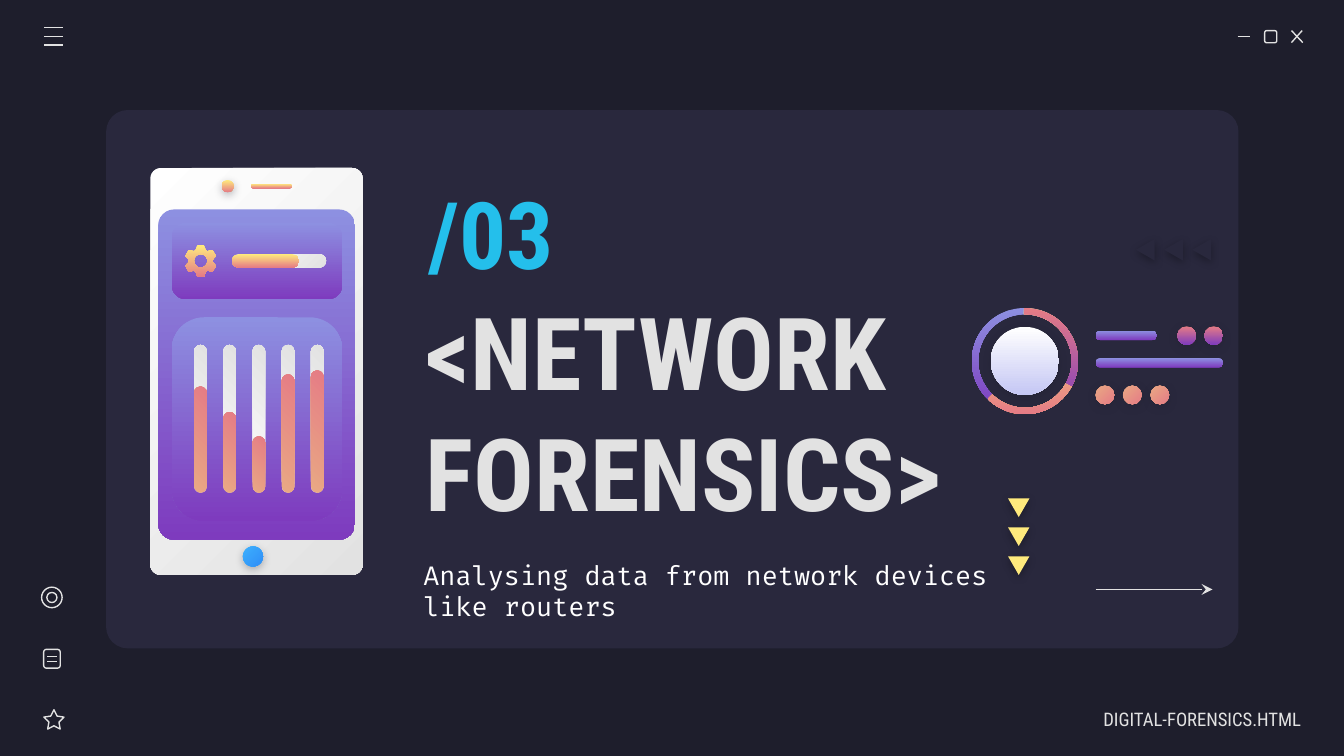
from math import cos, sin, radians
from lxml.etree import SubElement as Sub
from pptx import Presentation
from pptx.dml.color import RGBColor
from pptx.enum.shapes import MSO_SHAPE as Kind, MSO_CONNECTOR as Link
from pptx.enum.text import MSO_ANCHOR as Anchor, PP_ALIGN as Align
from pptx.oxml.ns import qn
from pptx.util import Pt

PALE, CARD, NIGHT = "E2E2E2", "29283D", "1E1E2C"
HEAD, CODE = "Roboto Condensed", "Fira Code"
# Gradients: start, end, clockwise angle
SILVER = ("FFFFFF", PALE, 45)
VIOLET = ("8D90E1", "7E3BBE", 90)
GOLD = ("FFEA7D", "E57C85", 90)
PEACH = ("E9A984", "E57C85", 45)
BERRY = ("E57C85", "7E3BBE", 90)
AZURE = ("3DB0FD", "308EF7", 45)
PEARL = ("FFFFFF", "C5C7F4", 90)


def color(hexa):
    return RGBColor.from_string(hexa)


def paint(fill, tone):
    if tone is None:
        fill.background()
    elif isinstance(tone, str):
        fill.solid()
        fill.fore_color.rgb = color(tone)
    else:
        fill.gradient()
        fill.gradient_angle = -tone[2] % 360
        for stop, hexa in zip(fill.gradient_stops, tone):
            stop.color.rgb = color(hexa)


def shade(item, hexa):
    effects = item.element.spPr.find(qn("a:effectLst"))
    drop = Sub(effects, qn("a:outerShdw"), blurRad=str(Pt(4.5)), dist=str(Pt(1.5)),
               dir="5400000", algn="bl", rotWithShape="0")
    tint = Sub(drop, qn("a:srgbClr"), val=hexa)
    Sub(tint, qn("a:alpha"), val="31000")


def dress(item, tone, glow=None):
    item.shadow.inherit = False
    paint(item.fill, tone)
    item.line.fill.background()
    if glow:
        shade(item, glow)


def draw(kit, kind, box, tone, adj=(), turn=0, glow=None):
    item = kit.add_shape(kind, *map(Pt, box))
    dress(item, tone, glow)
    item.rotation = turn
    for i, value in enumerate(adj):
        item.adjustments[i] = value
    return item


def sketch(kit, kind, box, adj=()):
    item = draw(kit, kind, box, None, adj)
    item.line.color.rgb = color(PALE)
    item.line.width = Pt(0.75)


def pill(kit, box, tone):
    draw(kit, Kind.ROUNDED_RECTANGLE, box, tone, [0.5])


def rule(kit, x1, y1, x2, y2):
    line = kit.add_connector(Link.STRAIGHT, *map(Pt, (x1, y1, x2, y2)))
    line.line.color.rgb = color(PALE)
    line.line.width = Pt(0.75)
    Sub(line.element.spPr, qn("a:effectLst"))
    return line


def write(item, box, text, font, size, hexa, align=Align.LEFT, bold=False,
          anchor=Anchor.MIDDLE, right=7.2, edge=7.2, indent=0):
    item.left, item.top, item.width, item.height = map(Pt, box)
    frame = item.text_frame
    frame.word_wrap = True
    frame.vertical_anchor = anchor
    frame.margin_left, frame.margin_right = Pt(7.2), Pt(right)
    frame.margin_top = frame.margin_bottom = Pt(edge)
    frame.text = text
    para = frame.paragraphs[0]
    props = para._p.get_or_add_pPr()
    props.set("marL", str(Pt(indent)))
    props.set("indent", "0")
    para.alignment = align
    para.space_before = Pt(0)
    para.font.name, para.font.size, para.font.bold = font, Pt(size), bold
    para.font.color.rgb = color(hexa)


def window(kit, x, y):
    # Minimise, maximise, close
    rule(kit, x, y + 3.2, x + 6.6, y + 3.2)
    sketch(kit, Kind.ROUNDED_RECTANGLE, (x + 14.4, y, 6.5, 6.5))
    rule(kit, x + 28.8, y, x + 34.8, y + 6.4)
    rule(kit, x + 34.5, y, x + 28.8, y + 6.4)


def menu(kit, x, y):
    for i in range(3):
        rule(kit, x, y + i * 4.8, x + 10.4, y + i * 4.8)


def icons(kit, x, y):
    # Target
    sketch(kit, Kind.OVAL, (x, y, 11, 11))
    sketch(kit, Kind.OVAL, (x + 2.8, y + 2.8, 5.4, 5.4))
    # Note
    sketch(kit, Kind.ROUNDED_RECTANGLE, (x + 1.1, y + 33.3, 8.9, 10.1))
    for drop in (37, 39.7):
        rule(kit, x + 3, y + drop, x + 8, y + drop)
    # Star
    sketch(kit, Kind.STAR_5_POINT, (x + 1.2, y + 65.6, 10.8, 10.4), [0.25])


def gear(kit, x, y):
    def ring(points):
        return [(Pt(x + r * sin(radians(a))), Pt(y - r * cos(radians(a)))) for r, a in points]

    teeth = ring((r, 60 * i + a) for i in range(6)
                 for r, a in ((6.3, -26), (8.6, -12), (8.6, 12), (6.3, 26)))
    hole = ring((3.6, -a) for a in range(0, 360, 15))
    path = kit.build_freeform(*teeth[0])
    path.add_line_segments(teeth[1:], close=True)
    path.move_to(*hole[0])
    path.add_line_segments(hole[1:], close=True)
    dress(path.convert_to_shape(), GOLD)


def phone(kit, x, y):
    # Body, screen and the two panels
    for box, tone, adj in (((0, 0, 113.8, 218), SILVER, 0.05),
                           ((4.3, 22.2, 105.3, 176.9), VIOLET, 0.08),
                           ((11.5, 29.3, 91.4, 41), VIOLET, 0.19),
                           ((11.5, 80, 91.4, 109.2), VIOLET, 0.19)):
        draw(kit, Kind.ROUNDED_RECTANGLE, (x + box[0], y + box[1], *box[2:]), tone, [adj])
    # Setting with progress
    gear(kit, x + 27, y + 49.8)
    pill(kit, (x + 43.8, y + 46.2, 50.4, 7.2), SILVER)
    pill(kit, (x + 43.8, y + 46.2, 36, 7.2), GOLD)
    # Level bars, lying shapes turned upright on a shared base
    for i, level in enumerate((56.9, 43.2, 30.2, 63.4, 65.5)):
        mid = x + 26.9 + i * 15.65
        for high, tone in ((79.2, SILVER), (level, PEACH)):
            box = (mid - high / 2, y + 174 - high / 2 - 3.4, high, 6.8)
            draw(kit, Kind.ROUNDED_RECTANGLE, box, tone, [0.5], 270)
    # Camera, speaker, home button
    draw(kit, Kind.OVAL, (x + 38.2, y + 6.5, 6.5, 6.5), GOLD, glow=NIGHT)
    pill(kit, (x + 54, y + 8.5, 21.8, 2.4), GOLD)
    draw(kit, Kind.OVAL, (x + 49.6, y + 202.7, 10.8, 10.8), AZURE, glow=NIGHT)


def widgets(kit, x, y):
    # Triangles pointing down and left
    for i in range(3):
        draw(kit, Kind.ISOSCELES_TRIANGLE, (x + 19.4, y + 138.6 + i * 15.5, 11.5, 10),
             "FFEA7D", turn=180, glow="000000")
        draw(kit, Kind.ISOSCELES_TRIANGLE, (x + 87.2 + i * 15.1, y + 0.4, 11.5, 10),
             CARD, turn=270, glow="000000")
    # Ring: start and end in degrees, one unit of adjustment being 5/3 degree
    for start, end, tone in ((275.7, 273.7, VIOLET), (268.9, 134.2, GOLD), (268.9, 27.7, BERRY)):
        draw(kit, Kind.BLOCK_ARC, (x, y + 36.6, 56.9, 56.9), tone, [start * 0.6, end * 0.6, 0.06])
    draw(kit, Kind.OVAL, (x + 10.2, y + 46.7, 36.5, 36.5), PEARL, glow=NIGHT)
    # Lines and dots
    pill(kit, (x + 66.3, y + 48.8, 33, 5), VIOLET)
    pill(kit, (x + 66.3, y + 63.5, 68.4, 5), VIOLET)
    for i in range(3):
        draw(kit, Kind.OVAL, (x + 66.3 + i * 14.7, y + 78.2, 10, 10), PEACH, glow=NIGHT)
    for i in range(2):
        draw(kit, Kind.OVAL, (x + 110.1 + i * 14.5, y + 46.4, 10, 10), BERRY, glow=NIGHT)


def words(slide, x, y):
    title, sub = slide.shapes.title, slide.placeholders[1]
    for item in (title, sub):  # bring in front of the card
        item.element.getparent().append(item.element)
    write(title, (x + 20.1, y + 90, 378.7, 74.2), "<NETWORK FORENSICS>", HEAD, 54, PALE, bold=True)
    write(sub, (x - 28.1, y + 203, 369.4, 41), "Analysing data from network devices like routers",
          CODE, 14, "FFFFFF", anchor=Anchor.TOP, edge=3.6, indent=46.8)
    number = slide.shapes.add_textbox(0, 0, 0, 0)
    write(number, (x, y, 124.6, 62.6), "/03", HEAD, 50, "24BFEB", Align.CENTER, True)


def main():
    deck = Presentation()
    deck.slide_width, deck.slide_height = Pt(720), Pt(405)
    slide = deck.slides.add_slide(deck.slide_layouts[0])
    paint(slide.background.fill, NIGHT)
    kit = slide.shapes
    draw(kit, Kind.ROUNDED_RECTANGLE, (56.9, 59, 606.6, 288.4), CARD, [0.04])
    words(slide, 200.9, 92.9)
    for part, x, y in ((window, 663.1, 16.4), (menu, 23.6, 14.6), (icons, 22.3, 314.6),
                       (phone, 80.5, 90), (widgets, 520.6, 128.4)):
        part(kit.add_group_shape().shapes, x, y)
    # Arrow
    arrow = rule(kit, 587, 315.8, 649.6, 315.8)
    Sub(arrow.line._get_or_add_ln(), qn("a:tailEnd"), type="stealth")
    # Footer
    write(kit.add_textbox(0, 0, 0, 0), (564.5, 374.4, 132.5, 21.6), "DIGITAL-FORENSICS.HTML",
          HEAD, 10, PALE, Align.RIGHT, right=0)
    deck.save("out.pptx")


if __name__ == "__main__":
    main()
